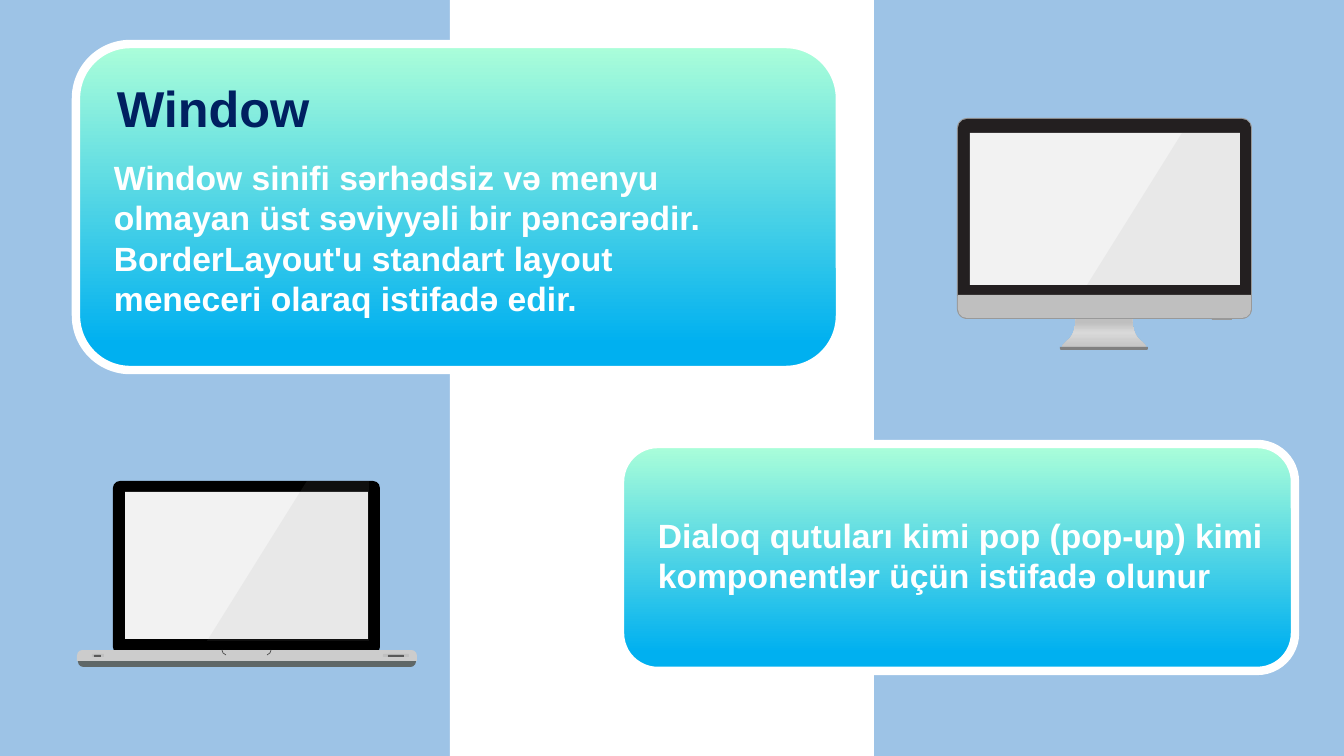
"""Build the Window class slide with two gradient cards, a monitor and a laptop."""
from copy import deepcopy

from lxml import etree
from pptx import Presentation
from pptx.dml.color import RGBColor
from pptx.enum.shapes import MSO_SHAPE
from pptx.enum.text import MSO_AUTO_SIZE
from pptx.oxml.ns import qn
from pptx.util import Pt

RECT = MSO_SHAPE.RECTANGLE
ROUND = MSO_SHAPE.ROUNDED_RECTANGLE
ROUND_ENDS = MSO_SHAPE.ROUND_2_SAME_RECTANGLE
FIT_SHAPE = MSO_AUTO_SIZE.SHAPE_TO_FIT_TEXT

PX = 914400 / 100.8
SLIDE_SIZE = (1344, 756)
FONT = "Arial"
COLORS = {
    "background": "9DC3E6", "white": "FFFFFF", "navy": "002060",
    "mint": "ACFFD9", "sky": "00B0F0", "black": "000000",
    "bezel": "231F20", "screen": "F2F2F2", "edge": "999999",
    "foot": "808080", "silver": "BFBFBF", "shine": "D9D9D9",
    "base": "CCCCCC", "underside": "5F6767", "slot": "595959", "notch": "4D4D4D",
}

BAND = (450, 0, 424, 756)
CARDS = [(76, 44, 764, 326), (620, 444, 675, 227)]
CARD_STOPS = [(0, "mint"), (0.92, "sky")]
STAND_STOPS = [(0, "silver"), (0.53, "shine"), (0.83, "silver"), (1, "silver")]

STAND_CENTER = 1104
STAND_START = (28, 317)
STAND_CURVES = [
    [(28, 317), (28, 332), (34, 338)],
    [(40, 344), (50, 350), (33, 350)],
]
MONITOR = [
    (ROUND, (957, 118, 295, 201), "edge", [0.05]),
    (RECT, (1212, 317, 20, 3), "edge", []),
    (ROUND_ENDS, (958, 119, 293, 177), "bezel", [0.05, 0]),
    (ROUND_ENDS, (1060, 347, 88, 3), "foot", [0, 0.5]),
    (ROUND_ENDS, (958, 295, 293, 23), "silver", [0, 0.39]),
    (RECT, (970, 133, 270, 152), "screen", []),
]
MONITOR_GLARE = [(1182, 133), (1240, 133), (1240, 285), (1087, 285)]

LAPTOP = [
    (ROUND_ENDS, (78, 656, 338, 11), "underside", [0, 0.5]),
    (ROUND, (113, 481, 267, 173), "black", [0.04]),
    (RECT, (125, 492, 243, 147), "screen", []),
    (ROUND_ENDS, (77, 650, 340, 11), "base", [0.5, 0]),
    (ROUND, (92, 654, 12, 3), "silver", [0.28]),
    (ROUND, (94, 655, 7, 2), "slot", [0.28]),
    (ROUND, (383, 654, 26, 3), "silver", [0.28]),
    (ROUND, (388, 655, 16, 2), "slot", [0.28]),
]
LAPTOP_GLARE = [(307, 481), (369, 481), (369, 641), (207, 641)]
NOTCHES = [
    [(222, 650), (223, 653), (226, 655)],
    [(271, 650), (270, 653), (267, 655)],
]

TEXTS = [
    ("Window sinifi sərhədsiz və menyu olmayan üst səviyyəli bir pəncərədir. "
     "BorderLayout'u standart layout meneceri olaraq istifadə edir.",
     (104, 152, 672, 173), 24, "white", True),
    ("Window", (107, 72, 215, 72), 36, "navy", False),
    ("Dialoq qutuları kimi pop (pop-up) kimi komponentlər üçün istifadə olunur",
     (648, 510, 672, 92), 24, "white", True),
]


def emu(values):
    return [round(value * PX) for value in values]


def color(name):
    return RGBColor.from_string(COLORS[name])


def fill_solid(shape, name, opacity=100):
    shape.fill.solid()
    shape.fill.fore_color.rgb = color(name)
    if opacity < 100:
        hue = shape._element.spPr.find(".//" + qn("a:srgbClr"))
        etree.SubElement(hue, qn("a:alpha")).set("val", str(opacity * 1000))


def fill_gradient(shape, stops, angle):
    shape.fill.gradient()
    shape.fill.gradient_angle = angle
    stop_list = shape._element.spPr.find(".//" + qn("a:gsLst"))
    for _ in stops[2:]:
        stop_list.append(deepcopy(stop_list[0]))
    for stop, (position, name) in zip(shape.fill.gradient_stops, stops):
        stop.position = position
        stop.color.rgb = color(name)


def add_preset(shapes, kind, box, adjustments=()):
    shape = shapes.add_shape(kind, *emu(box))
    shape.shadow.inherit = False
    shape.line.fill.background()
    for index, value in enumerate(adjustments):
        shape.adjustments[index] = value
    return shape


def add_outline(shapes, points, close=True):
    start, *rest = [emu(point) for point in points]
    builder = shapes.build_freeform(*start, scale=1.0)
    builder.add_line_segments(rest, close=close)
    shape = builder.convert_to_shape()
    shape.shadow.inherit = False
    shape.line.fill.background()
    return shape


def curve_points(start, controls, steps=8):
    a, b, c, d = start, *controls
    for step in range(1, steps + 1):
        t = step / steps
        u = 1 - t
        yield tuple(u**3 * a[i] + 3 * u * u * t * b[i] + 3 * u * t * t * c[i] + t**3 * d[i]
                    for i in range(2))


def stand_outline():
    side = [STAND_START]
    for controls in STAND_CURVES:
        side += list(curve_points(side[-1], controls))
    right = [(STAND_CENTER + x, y) for x, y in side]
    left = [(STAND_CENTER - x, y) for x, y in reversed(side)]
    return right + left


def add_device(shapes, parts, glare):
    for kind, box, name, adjustments in parts:
        fill_solid(add_preset(shapes, kind, box, adjustments), name)
    fill_solid(add_outline(shapes, glare), "edge", 10)


def add_text(slide, text, box, size, name, wrap):
    frame = slide.shapes.add_textbox(*emu(box)).text_frame
    frame.word_wrap = wrap
    frame.auto_size = FIT_SHAPE
    run = frame.paragraphs[0].add_run()
    run.text = text
    run.font.name = FONT
    run.font.size = Pt(size)
    run.font.bold = True
    run.font.color.rgb = color(name)


def main():
    presentation = Presentation()
    presentation.slide_width, presentation.slide_height = emu(SLIDE_SIZE)
    slide = presentation.slides.add_slide(presentation.slide_layouts[6])
    slide.background.fill.solid()
    slide.background.fill.fore_color.rgb = color("background")

    fill_solid(add_preset(slide.shapes, RECT, BAND), "white")
    for box in CARDS:
        card = add_preset(slide.shapes, ROUND, box)
        fill_gradient(card, CARD_STOPS, 270)
        card.line.color.rgb = color("white")
        card.line.width = Pt(6)

    monitor = slide.shapes.add_group_shape().shapes
    fill_gradient(add_outline(monitor, stand_outline()), STAND_STOPS, 90)
    add_device(monitor, MONITOR, MONITOR_GLARE)

    laptop = slide.shapes.add_group_shape().shapes
    add_device(laptop, LAPTOP, LAPTOP_GLARE)
    for points in NOTCHES:
        notch = add_outline(laptop, points, close=False)
        notch.fill.background()
        notch.line.color.rgb = color("notch")
        notch.line.width = Pt(0.5)

    for entry in TEXTS:
        add_text(slide, *entry)
    presentation.save("out.pptx")


if __name__ == "__main__":
    main()
